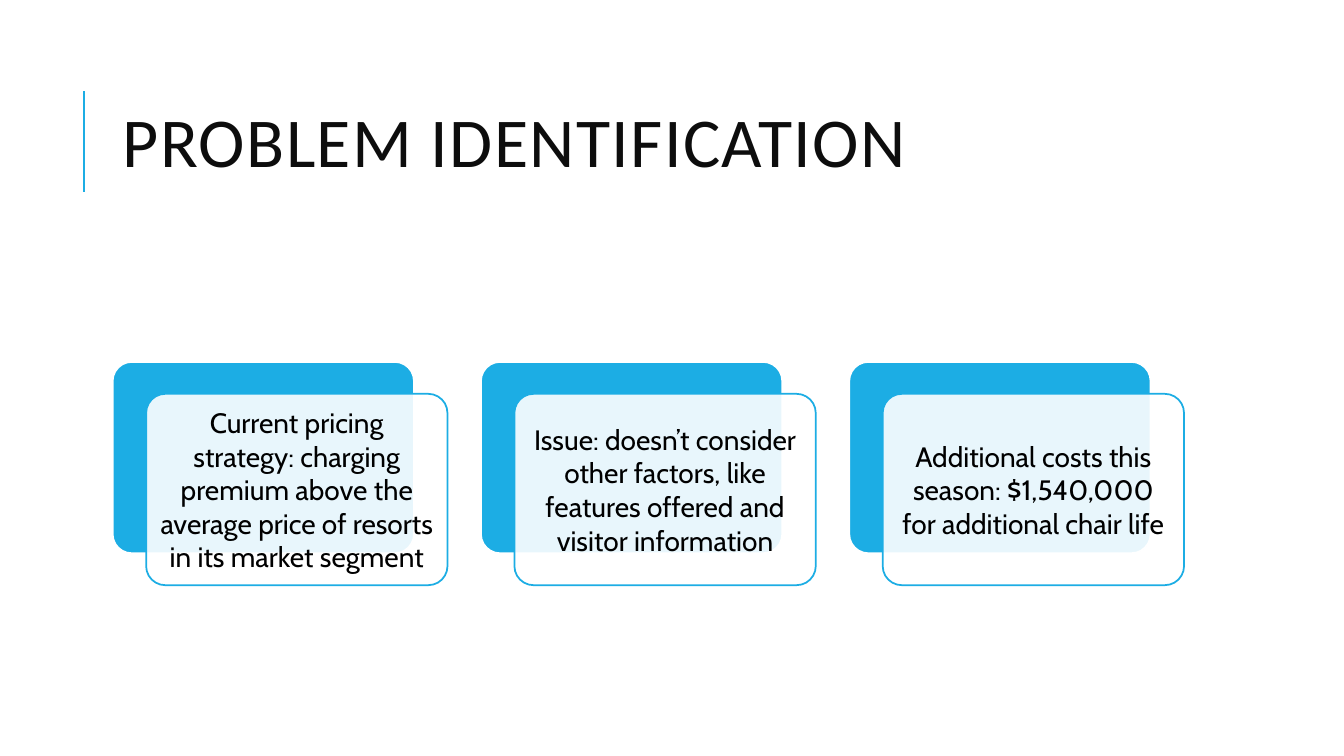
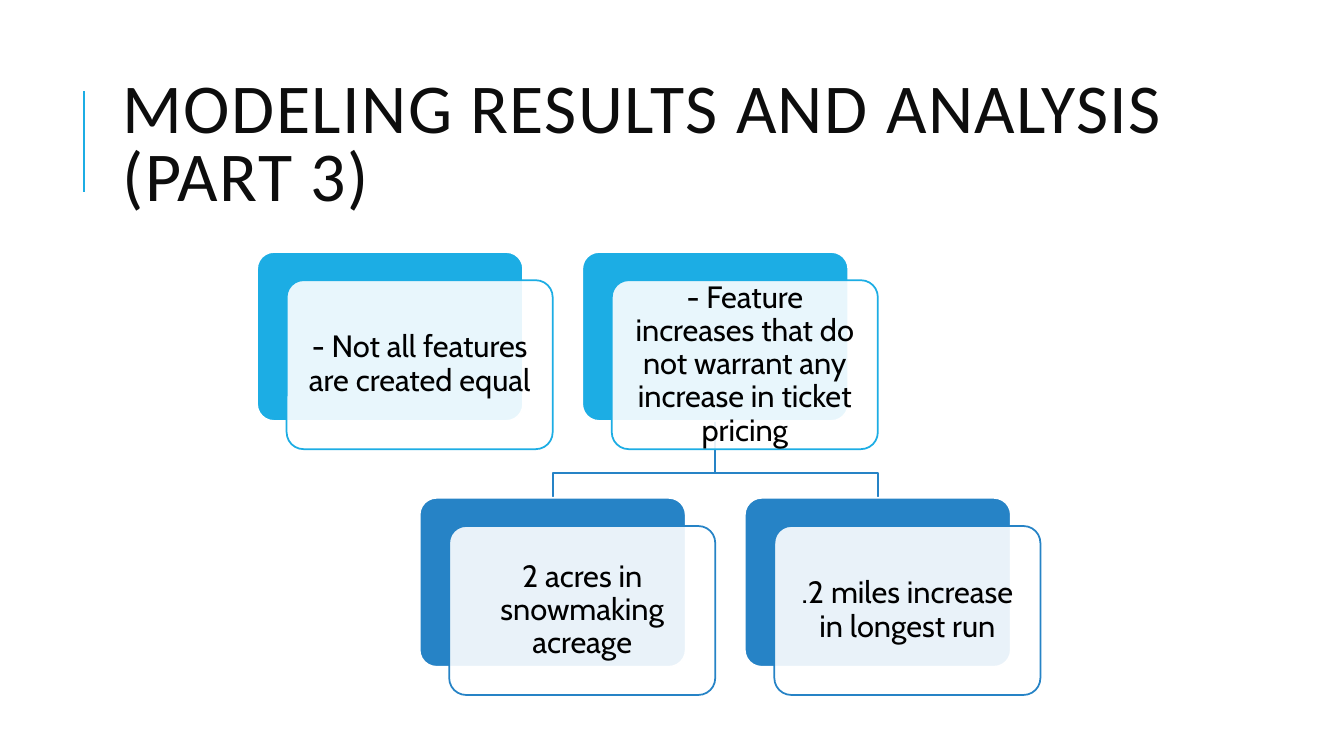
from pptx import Presentation, util as u
from pptx.dml.color import RGBColor
from pptx.enum import shapes as sh, text as tx
from pptx.oxml import parse_xml
from pptx.oxml.ns import nsdecls, qn

SKY, BLUE, WHITE, INK, BLACK = "1CADE4", "2683C6", "FFFFFF", "0D0D0D", "000000"
TITLE_FONT, BODY_FONT = "Calibri", "Cabin"
CONTENT_LEFT, CONTENT_WIDTH = 2.84, 27

# Card proportions, all relative to the width of a card
PITCH = 11 / 9
SHIFT_X, SHIFT_Y = 1 / 9, 0.106
HEIGHT = 0.635
LEVEL_PITCH = 0.924
BEND = 0.68


def colour(hex_value):
    return RGBColor.from_string(hex_value)


def outline(shape, hex_value, width=1.25):
    shape.line.color.rgb = colour(hex_value)
    shape.line.width = u.Pt(width)


def add_titled_slide(prs, heading):
    slide = prs.slides.add_slide(prs.slide_layouts[5])

    # Accent rule left of the title
    rule = slide.shapes.add_connector(
        sh.MSO_CONNECTOR.STRAIGHT, u.Cm(2.12), u.Cm(4.83), u.Cm(2.12), u.Cm(2.3))
    outline(rule, SKY, 1.5)
    rule._element.spPr.append(parse_xml(f"<a:effectLst {nsdecls('a')}/>"))

    # Title
    title = slide.shapes.title
    title.left, title.top = u.Cm(CONTENT_LEFT), u.Cm(1.63)
    title.width, title.height = u.Cm(CONTENT_WIDTH), u.Cm(4.17)
    frame = title.text_frame
    frame.text = heading
    frame.word_wrap = True
    frame.auto_size = tx.MSO_AUTO_SIZE.NONE
    frame.vertical_anchor = tx.MSO_ANCHOR.MIDDLE
    paragraph = frame.paragraphs[0]
    paragraph.alignment = tx.PP_ALIGN.LEFT
    paragraph.line_spacing = 0.8
    paragraph.font.name = TITLE_FONT
    paragraph.font.size = u.Pt(50)
    paragraph.font.color.rgb = colour(INK)
    paragraph.runs[0]._r.get_or_add_rPr().set("spc", "100")
    return slide


def add_panel(slide, left, top, width, fill, border):
    panel = slide.shapes.add_shape(
        sh.MSO_SHAPE.ROUNDED_RECTANGLE,
        u.Cm(left), u.Cm(top), u.Cm(width), u.Cm(width * HEIGHT))
    panel.adjustments[0] = 0.1
    panel.shadow.inherit = False
    panel.fill.solid()
    panel.fill.fore_color.rgb = colour(fill)
    outline(panel, border)
    return panel


def add_card(slide, left, top, width, label, accent, size, spacing, inset):
    # Solid panel behind, translucent labelled panel in front
    add_panel(slide, left, top, width, accent, WHITE)
    front = add_panel(slide, left + width * SHIFT_X, top + width * SHIFT_Y,
                      width, WHITE, accent)
    front_fill = front._element.spPr.find(qn("a:solidFill"))
    front_fill[0].append(parse_xml(f'<a:alpha {nsdecls("a")} val="90000"/>'))

    frame = front.text_frame
    frame.text = label
    frame.word_wrap = True
    frame.vertical_anchor = tx.MSO_ANCHOR.MIDDLE
    frame.margin_left = frame.margin_right = u.Cm(inset)
    frame.margin_top = frame.margin_bottom = u.Cm(inset)
    paragraph = frame.paragraphs[0]
    paragraph.alignment = tx.PP_ALIGN.CENTER
    paragraph.line_spacing = spacing
    paragraph.font.name = BODY_FONT
    paragraph.font.size = u.Pt(size)
    paragraph.font.color.rgb = colour(BLACK)


def add_card_row(slide, left, top, width, labels, accent, size, spacing, inset):
    for column, label in enumerate(labels):
        add_card(slide, left + column * width * PITCH, top, width,
                 label, accent, size, spacing, inset)


def add_branch(slide, start_x, start_y, end_x, end_y):
    bend_y = start_y + (end_y - start_y) * BEND
    points = [(start_x, start_y), (start_x, bend_y), (end_x, bend_y), (end_x, end_y)]
    corners = [(u.Cm(x), u.Cm(y)) for x, y in points]
    builder = slide.shapes.build_freeform(*corners[0])
    builder.add_line_segments(corners[1:], close=False)
    branch = builder.convert_to_shape()
    branch.shadow.inherit = False
    branch.fill.background()
    outline(branch, BLUE)


def add_problem_cards(slide, left, top, total_width, labels):
    card_width = total_width / ((len(labels) - 1) * PITCH + 1 + SHIFT_X)
    add_card_row(slide, left, top, card_width, labels, SKY, 20, 1.0, 0.2)


def add_feature_tree(slide, left, top, total_width, findings, examples):
    card_width = total_width / (1.5 * PITCH + 1 + SHIFT_X)
    pitch = card_width * PITCH
    examples_left = left + pitch / 2
    examples_top = top + card_width * LEVEL_PITCH

    # Branches from the last finding to its examples
    parent_x = left + pitch * (len(findings) - 1) + card_width / 2
    for column in reversed(range(len(examples))):
        add_branch(slide, parent_x, top + card_width * HEIGHT,
                   examples_left + column * pitch + card_width / 2, examples_top)

    # Two levels of cards
    for row_left, row_top, labels, accent in (
            (left, top, findings, SKY),
            (examples_left, examples_top, examples, BLUE)):
        add_card_row(slide, row_left, row_top, card_width, labels, accent, 22, 0.9, 0.23)


prs = Presentation()
prs.slide_width, prs.slide_height = u.Cm(33.87), u.Cm(19.05)

problem = add_titled_slide(prs, "PROBLEM IDENTIFICATION")
add_problem_cards(problem, CONTENT_LEFT, 9.12, CONTENT_WIDTH, [
    "Current pricing strategy: charging premium above the average price of resorts "
    "in its market segment",
    "Issue: doesn’t consider other factors, like features offered and visitor information",
    "Additional costs this season: $1,540,000 for additional chair life",
])

results = add_titled_slide(prs, "MODELING RESULTS AND ANALYSIS (PART 3)")
add_feature_tree(
    results, 6.48, 6.35, 19.74,
    findings=["- Not all features are created equal",
              "- Feature increases that do not warrant any increase in ticket pricing"],
    examples=["2 acres in snowmaking acreage", ".2 miles increase in longest run"])

prs.save("out.pptx")
